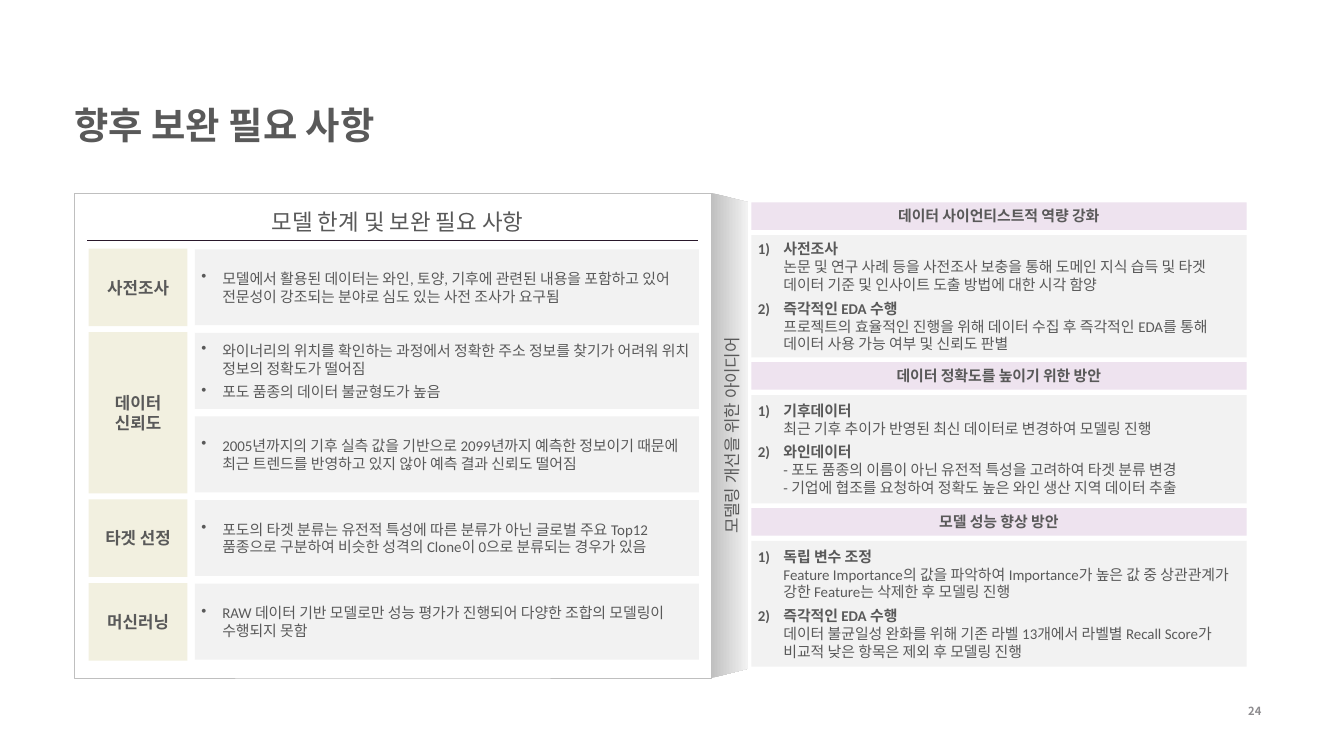
import dataclasses

import pptx
import pptx.dml.color
import pptx.enum.shapes
import pptx.enum.text
import pptx.oxml
import pptx.oxml.ns
import pptx.util

Inches = pptx.util.Inches
Align = pptx.enum.text.PP_ALIGN
Anchor = pptx.enum.text.MSO_ANCHOR
Shapes = pptx.enum.shapes.MSO_SHAPE


@dataclasses.dataclass(frozen=True)
class Theme:
    heading_font: str = "Noto Sans CJK KR"
    body_font: str = "Calibri"
    text: str = "595959"
    page: str = "8E8C8F"
    white: str = "FFFFFF"
    border: str = "BFBFBF"
    rule: str = "29182B"
    label: str = "F2F0E0"
    panel: str = "F2F2F2"
    banner: str = "EEE3EF"
    title_size: int = 40
    heading_size: int = 24
    label_size: int = 18
    body_size: int = 16
    page_size: int = 12


@dataclasses.dataclass(frozen=True)
class Box:
    left: float
    top: float
    width: float
    height: float

    def inches(self):
        return [Inches(value) for value in (self.left, self.top, self.width, self.height)]

    def inner(self, left, top, width, height):
        return Box(self.left + left, self.top + top, width, height)


THEME = Theme()

LIMITS = [
    ("사전조사", [
        ["모델에서 활용된 데이터는 와인, 토양, 기후에 관련된 내용을 포함하고 있어 전문성이 강조되는 분야로 심도 있는 사전 조사가 요구됨"],
    ]),
    ("데이터 신뢰도", [
        ["와이너리의 위치를 확인하는 과정에서 정확한 주소 정보를 찾기가 어려워 위치 정보의 정확도가 떨어짐",
         "포도 품종의 데이터 불균형도가 높음"],
        ["2005년까지의 기후 실측 값을 기반으로 2099년까지 예측한 정보이기 때문에 최근 트렌드를 반영하고 있지 않아 예측 결과 신뢰도 떨어짐"],
    ]),
    ("타겟 선정", [
        ["포도의 타겟 분류는 유전적 특성에 따른 분류가 아닌 글로벌 주요 Top12 품종으로 구분하여 비슷한 성격의 Clone이 0으로 분류되는 경우가 있음"],
    ]),
    ("머신러닝", [
        ["RAW 데이터 기반 모델로만 성능 평가가 진행되어 다양한 조합의 모델링이 수행되지 못함"],
    ]),
]

IDEAS = [
    ("데이터 사이언티스트적 역량 강화", 1.82, [
        ("사전조사", "논문 및 연구 사례 등을 사전조사 보충을 통해 도메인 지식 습득 및 타겟 데이터 기준 및 인사이트 도출 방법에 대한 시각 함양"),
        ("즉각적인 EDA 수행", "프로젝트의 효율적인 진행을 위해 데이터 수집 후 즉각적인 EDA를 통해 데이터 사용 가능 여부 및 신뢰도 판별"),
    ]),
    ("데이터 정확도를 높이기 위한 방안", 1.61, [
        ("기후데이터", "최근 기후 추이가 반영된 최신 데이터로 변경하여 모델링 진행"),
        ("와인데이터", "- 포도 품종의 이름이 아닌 유전적 특성을 고려하여 타겟 분류 변경\n- 기업에 협조를 요청하여 정확도 높은 와인 생산 지역 데이터 추출"),
    ]),
    ("모델 성능 향상 방안", 1.87, [
        ("독립 변수 조정", "Feature Importance의 값을 파악하여 Importance가 높은 값 중 상관관계가 강한 Feature는 삭제한 후 모델링 진행"),
        ("즉각적인 EDA 수행", "데이터 불균일성 완화를 위해 기존 라벨 13개에서 라벨별 Recall Score가 비교적 낮은 항목은 제외 후 모델링 진행"),
    ]),
]


def color(value):
    return pptx.dml.color.RGBColor.from_string(value)


def add_element(parent, tag, **attributes):
    element = pptx.oxml.parse_xml(f"<{tag} {pptx.oxml.ns.nsdecls('a')}/>")
    for name, value in attributes.items():
        element.set(name, value)
    parent.append(element)


def add_run(paragraph, text, size, font, ink, bold):
    for index, line in enumerate(text.split("\n")):
        if index:
            paragraph.add_line_break()
        run = paragraph.add_run()
        run.text = line
        run.font.size = pptx.util.Pt(size)
        run.font.name = font
        run.font.bold = bold
        run.font.color.rgb = color(ink)
        add_element(run.font._element, "a:ea", typeface=font)


def write(shape, text, size=THEME.body_size, font=THEME.body_font, ink=THEME.text, bold=False,
          align=Align.LEFT, anchor=Anchor.MIDDLE, wrap=True, bullet=None, indent=0, after=None,
          line_spacing=None, margin=None):
    frame = shape.text_frame
    frame.word_wrap = wrap
    frame.auto_size = pptx.enum.text.MSO_AUTO_SIZE.NONE
    frame.vertical_anchor = anchor
    if margin is not None:
        frame.margin_left = frame.margin_right = Inches(margin)
        frame.margin_top = frame.margin_bottom = Inches(margin)
    items = [text] if isinstance(text, str) else text
    for index, item in enumerate(items):
        paragraph = frame.add_paragraph() if index else frame.paragraphs[0]
        paragraph.alignment = align
        paragraph.line_spacing = line_spacing
        if after is not None:
            paragraph.space_after = pptx.util.Pt(after)
        if bullet:
            properties = paragraph._p.get_or_add_pPr()
            properties.set("marL", str(Inches(indent)))
            properties.set("indent", str(-Inches(indent)))
            add_element(properties, *bullet[:1], **bullet[1])
        if isinstance(item, tuple):
            add_run(paragraph, item[0] + "\n", size, font, ink, True)
            add_run(paragraph, item[1], size, font, ink, False)
        else:
            add_run(paragraph, item, size, font, ink, bold)


def add_panel(slide, box, fill, kind=Shapes.RECTANGLE):
    shape = slide.shapes.add_shape(kind, *box.inches())
    shape.shadow.inherit = False
    shape.fill.solid()
    shape.fill.fore_color.rgb = color(fill)
    shape.line.fill.background()
    return shape


def add_title(slide, box):
    title = slide.shapes.title
    title.left, title.top, title.width, title.height = box.inches()
    write(title, "향후 보완 필요 사항", size=THEME.title_size, font=THEME.heading_font,
          bold=True, line_spacing=1.02, margin=0)


def add_divider(slide, box):
    across = box.inner((box.width - box.height) / 2, (box.height - box.width) / 2,
                       box.height, box.width)
    trapezoid = add_panel(slide, across, THEME.panel, Shapes.TRAPEZOID)
    trapezoid.adjustments[0] = 0.254
    trapezoid.rotation = 90
    trapezoid.fill.gradient()
    trapezoid.fill.gradient_angle = 90
    for stop, position, shade in zip(trapezoid.fill.gradient_stops, (0, 1),
                                     (THEME.border, THEME.panel)):
        stop.position = position
        stop.color.rgb = color(shade)
    caption = slide.shapes.add_textbox(*box.inner(-2.15, 3.39, 4.93, 0.44).inches())
    caption.rotation = 270
    write(caption, "모델링 개선을 위한 아이디어", size=THEME.label_size, align=Align.CENTER)


def add_limits(slide, box):
    frame = add_panel(slide, box, THEME.white)
    frame.line.color.rgb = color(THEME.border)
    frame.line.width = pptx.util.Pt(0.75)
    heading = slide.shapes.add_textbox(*box.inner(2.77, 0.17, 4.07, 0.53).inches())
    write(heading, "모델 한계 및 보완 필요 사항", size=THEME.heading_size, font=THEME.heading_font,
          align=Align.CENTER, anchor=Anchor.TOP, wrap=False)
    rule_top = Inches(box.top + 0.69)
    rule = slide.shapes.add_connector(
        pptx.enum.shapes.MSO_CONNECTOR.STRAIGHT,
        Inches(box.left + 0.19), rule_top, Inches(box.left + box.width - 0.2), rule_top)
    rule.line.color.rgb = color(THEME.rule)
    rule.line.width = pptx.util.Pt(0.75)
    add_element(rule._element.spPr, "a:effectLst")

    pitch = 6.22 / sum(len(details) for label, details in LIMITS)
    top = 0.82
    for label, details in LIMITS:
        cell = add_panel(slide, box.inner(0.21, top, 1.47, pitch * len(details) - 0.09), THEME.label)
        write(cell, label, size=THEME.label_size, bold=True, align=Align.CENTER)
        for items in details:
            detail = add_panel(slide, box.inner(1.79, top + 0.01, 7.5, 1.13), THEME.panel)
            write(detail, items, bullet=("a:buChar", {"char": "•"}), indent=0.31, after=6)
            top += pitch


def add_ideas(slide, box):
    top = 0
    for heading, height, items in IDEAS:
        banner = add_panel(slide, box.inner(0, top, box.width, 0.41), THEME.banner)
        write(banner, heading, bold=True, align=Align.CENTER)
        body = add_panel(slide, box.inner(0, top + 0.49, box.width, height), THEME.panel)
        write(body, items, bullet=("a:buAutoNum", {"type": "arabicParenR"}), indent=0.38, after=6)
        top += 0.49 + height + 0.07


def add_page_number(slide, box):
    number = slide.shapes.add_textbox(*box.inches())
    write(number, "24", size=THEME.page_size, font=THEME.heading_font, ink=THEME.page,
          bold=True, align=Align.RIGHT)


def main():
    presentation = pptx.Presentation()
    presentation.slide_width = Inches(20)
    presentation.slide_height = Inches(11.25)
    slide = presentation.slides.add_slide(presentation.slide_layouts[5])
    add_title(slide, Box(1.11, 1.33, 12.18, 1.03))
    add_divider(slide, Box(10.58, 2.87, 0.55, 7.22))
    add_limits(slide, Box(1.11, 2.88, 9.47, 7.21))
    add_ideas(slide, Box(11.18, 3.01, 7.37, 6.91))
    add_page_number(slide, Box(16.54, 10.38, 2.33, 0.4))
    presentation.save("out.pptx")


if __name__ == "__main__":
    main()
